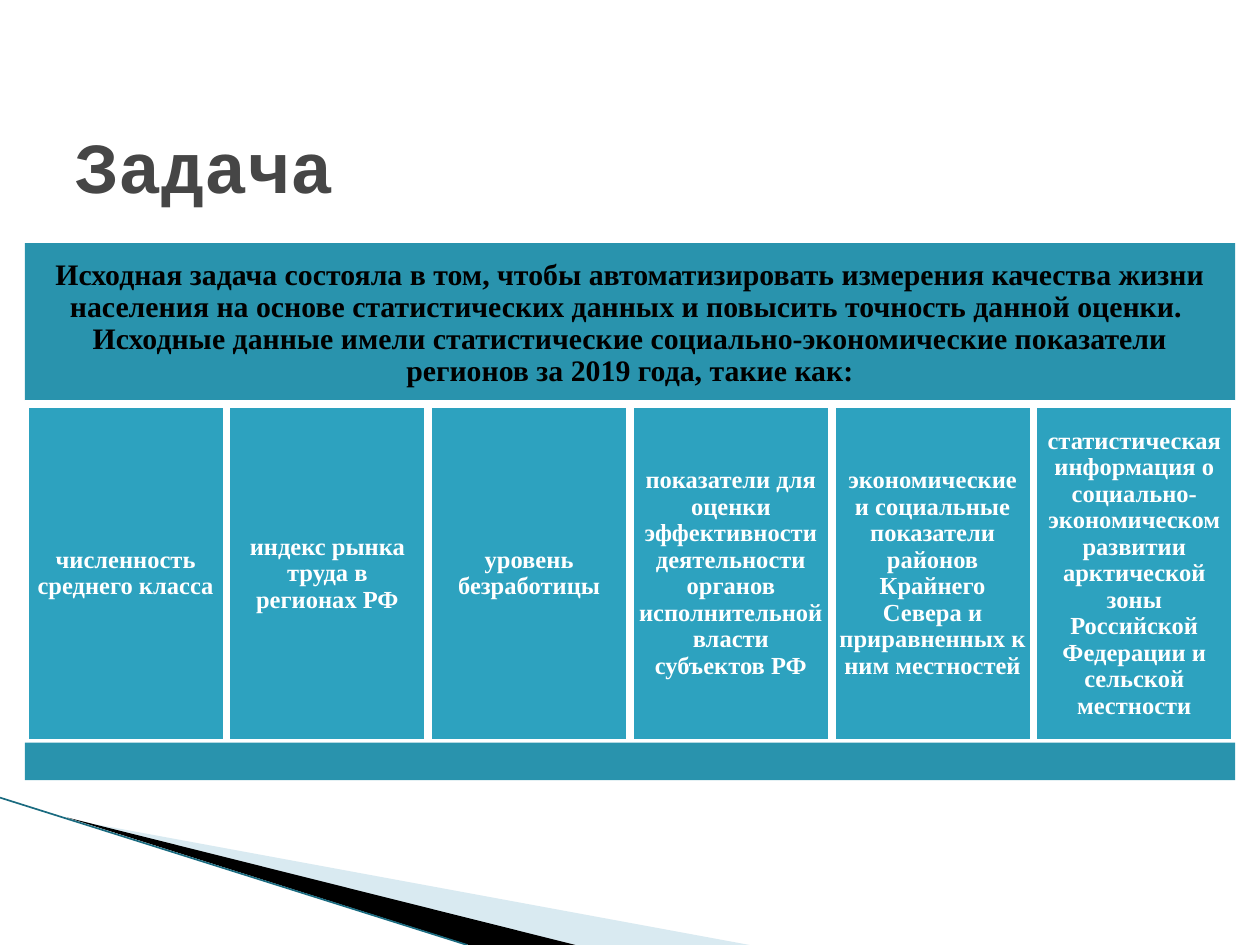
from lxml.etree import SubElement
from pptx import Presentation
from pptx.dml.color import RGBColor
from pptx.enum.shapes import MSO_CONNECTOR, MSO_SHAPE
from pptx.enum.text import MSO_ANCHOR, PP_ALIGN
from pptx.oxml.ns import qn
from pptx.util import Cm, Pt

COLORS = {
    "title": "464646",
    "band": "2993AD",
    "column": "2DA2BF",
    "white": "FFFFFF",
    "black": "000000",
    "light wedge": "A0CBDC",
    "edge": "1A6B80",
}


def rgb(name):
    return RGBColor.from_string(COLORS[name])


def add_block(left, top, width, height, fill, text="", size=14, color="white", inset=0.15):
    block = slide.shapes.add_shape(
        MSO_SHAPE.RECTANGLE, Cm(left), Cm(top), Cm(width), Cm(height))
    block.shadow.inherit = False
    block.fill.solid()
    block.fill.fore_color.rgb = rgb(fill)
    block.line.fill.background()
    if text:
        frame = block.text_frame
        frame.word_wrap = True
        frame.vertical_anchor = MSO_ANCHOR.MIDDLE
        frame.margin_left = frame.margin_right = Cm(inset)
        frame.margin_top = frame.margin_bottom = Cm(inset)
        frame.text = text
        paragraph = frame.paragraphs[0]
        paragraph.alignment = PP_ALIGN.CENTER
        paragraph.line_spacing = 0.9
        for run in paragraph.runs:
            run.font.name = "Times New Roman"
            run.font.size = Pt(size)
            run.font.bold = True
            run.font.color.rgb = rgb(color)
    return block


presentation = Presentation()
presentation.slide_width = Cm(25.4)
presentation.slide_height = Cm(19.05)
slide = presentation.slides.add_slide(presentation.slide_layouts[6])

# Corner decoration: two wedges and an edge line
wedges = [
    ("light wedge", 40, [(1.4, 16.52), (15.11, 19.05), (11.58, 19.05)]),
    ("black", 100, [(1.35, 16.48), (11.6, 19.05), (9.45, 19.05)]),
]
for color, opacity, corners in wedges:
    points = [(Cm(x), Cm(y)) for x, y in corners]
    builder = slide.shapes.build_freeform(*points[0])
    builder.add_line_segments(points[1:], close=True)
    wedge = builder.convert_to_shape()
    wedge.shadow.inherit = False
    wedge.fill.solid()
    wedge.fill.fore_color.rgb = rgb(color)
    wedge.line.fill.background()
    if opacity < 100:
        fill_color = wedge._element.spPr.find(qn("a:solidFill"))[0]
        SubElement(fill_color, qn("a:alpha")).set("val", str(opacity * 1000))

edge = slide.shapes.add_connector(
    MSO_CONNECTOR.STRAIGHT, Cm(0), Cm(16.08), Cm(9.42), Cm(19.05))
edge.line.color.rgb = rgb("edge")
edge.line.width = Pt(0.95)
SubElement(edge._element.spPr, qn("a:effectLst"))

# Title
title = slide.shapes.add_textbox(Cm(1.27), Cm(1.73), Cm(22.86), Cm(3.18))
title.text_frame.word_wrap = True
title.text_frame.vertical_anchor = MSO_ANCHOR.MIDDLE
title.text_frame.text = "Задача"
title_font = title.text_frame.paragraphs[0].runs[0].font
title_font.name = "Courier New"
title_font.size = Pt(41)
title_font.bold = True
title_font.color.rgb = rgb("title")

# Task statement band
table_left, table_width = 0.5, 24.4
task = (
    "Исходная задача состояла в том, чтобы автоматизировать измерения качества жизни "
    "населения на основе статистических данных и повысить точность данной оценки. \v"
    "Исходные данные имели статистические социально-экономические показатели "
    "регионов за 2019 года, такие как:"
)
add_block(table_left, 4.9, table_width, 3.25, "band", task, 17, "black", 0.18)

# Indicator columns
indicators = [
    "численность среднего класса",
    "индекс рынка труда в регионах РФ",
    "уровень безработицы",
    "показатели для оценки эффективности деятельности органов исполнительной "
    "власти субъектов РФ",
    "экономические и социальные показатели районов Крайнего Севера и "
    "приравненных к ним местностей",
    "статистическая информация о социально-экономическом развитии арктической "
    "зоны Российской Федерации и сельской местности",
]
column_width = table_width / len(indicators)
for index, indicator in enumerate(indicators):
    column = add_block(table_left + index * column_width, 8.15, column_width, 6.83,
                       "column", indicator)
    column.line.color.rgb = rgb("white")
    column.line.width = Pt(4.33)

# Bottom band
add_block(table_left, 14.97, table_width, 0.76, "band")

presentation.save("out.pptx")
